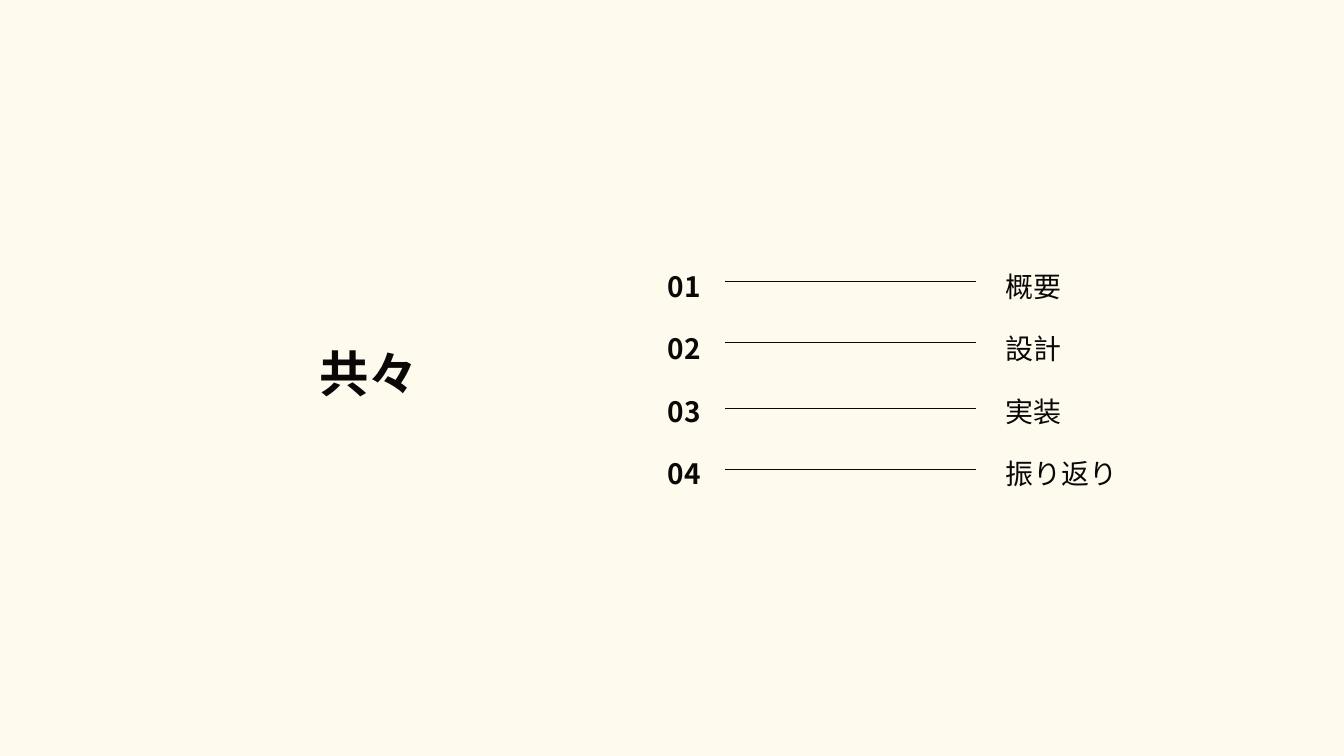
from dataclasses import dataclass

from lxml import etree
from pptx import Presentation
from pptx.dml.color import RGBColor
from pptx.enum.shapes import MSO_CONNECTOR
from pptx.enum.text import MSO_ANCHOR, MSO_AUTO_SIZE, PP_ALIGN
from pptx.oxml.ns import qn
from pptx.util import Inches, Pt

LINE = MSO_CONNECTOR.STRAIGHT
TOP = MSO_ANCHOR.TOP
GROW = MSO_AUTO_SIZE.SHAPE_TO_FIT_TEXT
LEFT, CENTER = PP_ALIGN.LEFT, PP_ALIGN.CENTER
TITLE_ONLY = 5


@dataclass(frozen=True)
class Theme:
    """Colours, font and type sizes of the slide."""
    paper: RGBColor = RGBColor.from_string("FEFBEE")
    ink: RGBColor = RGBColor.from_string("090807")
    font: str = "Noto Sans CJK JP"
    head: float = 53
    body: float = 30
    rule: float = 0.75


def write(frame, text, *, theme, size, lead, bold=False, align=LEFT):
    """Fill a text frame with one paragraph for each line of text."""
    frame.margin_left = frame.margin_right = 0
    frame.margin_top = frame.margin_bottom = 0
    frame.word_wrap = True
    frame.auto_size = GROW
    frame.vertical_anchor = TOP
    frame.text = text
    for para in frame.paragraphs:
        para.alignment = align
        para.line_spacing = Pt(lead)
        para.space_before = para.space_after = Pt(0)
        for run in para.runs:
            font = run.font
            font.name, font.size, font.bold = theme.font, Pt(size), bold
            font.color.rgb = theme.ink
            props = run._r.get_or_add_rPr()
            etree.SubElement(props, qn("a:ea"), typeface=theme.font)


class Deck:
    """Hold the theme and the current slide."""

    def __init__(self, theme):
        """Open a deck with one title-only slide."""
        self.theme = theme
        self.file = Presentation()
        self.file.slide_width = Inches(20)
        self.file.slide_height = Inches(11.25)
        self.slide = self.file.slides.add_slide(self.file.slide_layouts[TITLE_ONLY])
        fill = self.slide.background.fill
        fill.solid()
        fill.fore_color.rgb = theme.paper

    def title(self, text, x, y, w, h):
        """Place and format the title."""
        box = self.slide.shapes.title
        box.left, box.top, box.width, box.height = map(Inches, (x, y, w, h))
        write(box.text_frame, text, theme=self.theme, size=self.theme.head,
              lead=74.3, bold=True, align=CENTER)

    def column(self, items, x, y, w, h, bold=False):
        """Add a column of agenda entries."""
        box = self.slide.shapes.add_textbox(*map(Inches, (x, y, w, h)))
        write(box.text_frame, "\n".join(items), theme=self.theme,
              size=self.theme.body, lead=66.9, bold=bold)

    def rule(self, x, y, end):
        """Add a thin level line."""
        line = self.slide.shapes.add_connector(LINE, *map(Inches, (x, y, end, y)))
        line.line.color.rgb = self.theme.ink
        line.line.width = Pt(self.theme.rule)
        etree.SubElement(line._element.spPr, qn("a:effectLst"))


def main():
    """Build the agenda slide."""
    topics = ["概要", "設計", "実装", "振り返り"]
    deck = Deck(Theme())
    deck.title("共々", 2.97, 4.96, 5.03, 0.9)
    for y in (4.18, 5.09, 6.07, 6.98):
        deck.rule(10.79, y, 14.52)
    deck.column(topics, 14.96, 3.58, 2.7, 3.63)
    marks = [f"{n:02}" for n in range(1, len(topics) + 1)]
    deck.column(marks, 9.94, 3.58, 0.51, 3.62, bold=True)
    deck.file.save("out.pptx")


if __name__ == "__main__":
    main()
